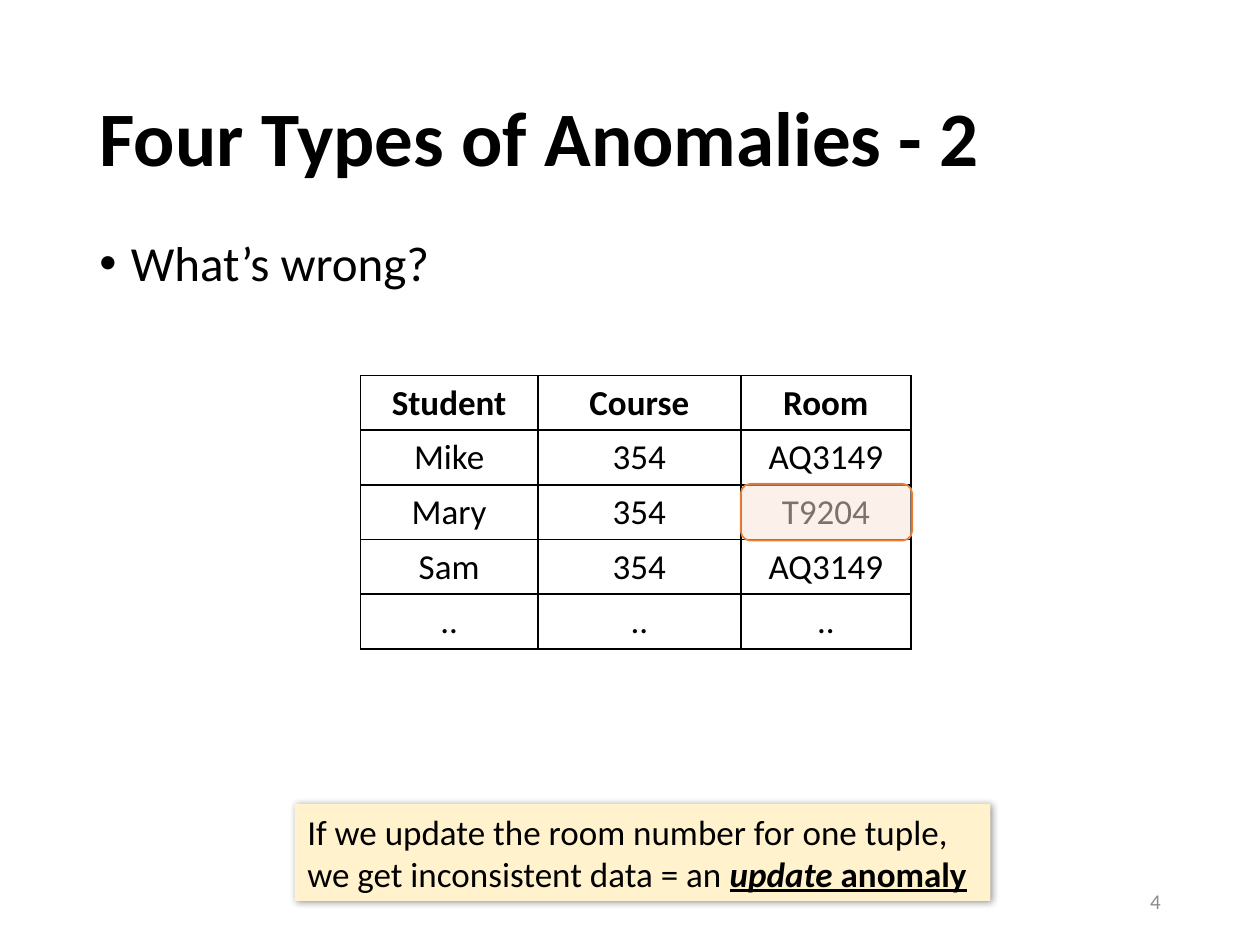
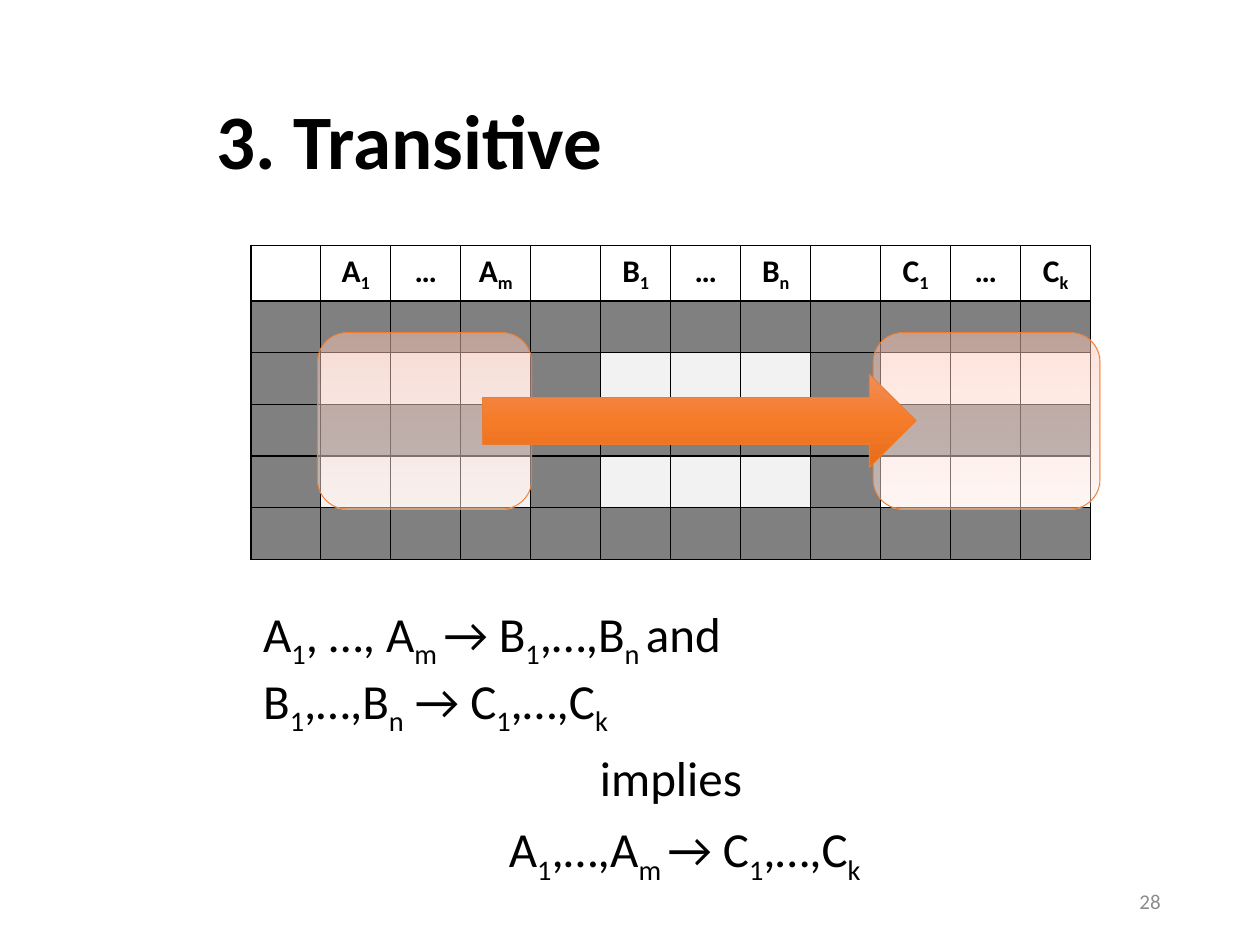
from lxml.etree import SubElement as Sub
from pptx import Presentation
from pptx.dml.color import RGBColor
from pptx.enum.shapes import MSO_SHAPE as Shape
from pptx.enum.text import MSO_ANCHOR as Anchor, MSO_AUTO_SIZE as Fit, PP_ALIGN as Align
from pptx.oxml.ns import qn
from pptx.util import Inches, Pt

FONT = "Calibri"
BLACK = RGBColor(0x00, 0x00, 0x00)
WHITE = RGBColor(0xFF, 0xFF, 0xFF)
GREY = RGBColor(0x80, 0x80, 0x80)
PALE = RGBColor(0xF2, 0xF2, 0xF2)
MUTED = RGBColor(0x8C, 0x8C, 0x8C)
CREAM = RGBColor(0xFF, 0xF2, 0xCC)
PEACH = RGBColor(0xFB, 0xE5, 0xD6)
ORANGE = RGBColor(0xED, 0x7D, 0x31)
BLUSH = [(0, RGBColor(0xFF, 0xC7, 0xB6)), (35, RGBColor(0xFF, 0xD7, 0xCB)),
         (100, RGBColor(0xFF, 0xF0, 0xEB))]
FLAME = [(0, RGBColor(0xF1, 0x8C, 0x57)), (50, RGBColor(0xF6, 0x7B, 0x28)),
         (100, RGBColor(0xE5, 0x6C, 0x19))]

ROOMS = [
    ["Student", "Course", "Room"],
    ["Mike", "354", "AQ3149"],
    ["Mary", "354", "T9204"],
    ["Sam", "354", "AQ3149"],
    ["..", "..", ".."],
]
HEADS = ["", "A{1}", "…", "A{m}", "", "B{1}", "…", "B{n}", "", "C{1}", "…", "C{k}"]


def box(*sides):
    return [Inches(side) for side in sides]


def style(run, size, color=BLACK, bold=False):
    font = run.font
    font.name, font.size, font.bold = FONT, Pt(size), bold
    font.color.rgb = color


def write(para, text, size, color=BLACK, bold=False, align=Align.LEFT):
    para.alignment = align
    for part in text.split("{"):
        low, mark, rest = part.partition("}")
        pieces = [(low, bool(mark)), (rest, False)]
        for words, under in pieces:
            if words:
                run = para.add_run()
                run.text = words
                style(run, size, color, bold)
                if under:
                    run.font._element.set("baseline", "-25000")


def title(slide, text, place):
    head = slide.shapes.title
    head.left, head.top, head.width, head.height = box(*place)
    frame = head.text_frame
    frame.text = text
    frame.auto_size = Fit.NONE
    frame.vertical_anchor = Anchor.MIDDLE
    para = frame.paragraphs[0]
    para.alignment = Align.LEFT
    para.line_spacing = 0.9
    style(para.runs[0], 44, bold=True)


def label(slide, place, lines, size, color=BLACK, align=Align.LEFT, anchor=Anchor.TOP):
    item = slide.shapes.add_textbox(*box(*place))
    frame = item.text_frame
    frame.word_wrap = True
    frame.vertical_anchor = anchor
    for i, line in enumerate(lines):
        para = frame.add_paragraph() if i else frame.paragraphs[0]
        write(para, line, size, color, align=align)
    return item


def bullet(slide, place, text):
    para = label(slide, place, [text], 28).text_frame.paragraphs[0]
    para.line_spacing = 0.9
    props = para._p.get_or_add_pPr()
    props.set("marL", str(Inches(0.25)))
    props.set("indent", str(-Inches(0.25)))
    Sub(props, qn("a:buFont"), typeface="Arial")
    Sub(props, qn("a:buChar"), char="•")


def number(slide, text):
    label(slide, (7.06, 6.95, 2.25, 0.4), [text], 12, MUTED, Align.RIGHT, Anchor.MIDDLE)


def edge(cell):
    props = cell._tc.get_or_add_tcPr()
    for side in "LRTB":
        line = Sub(props, qn(f"a:ln{side}"), w=str(Pt(1)))
        Sub(Sub(line, qn("a:solidFill")), qn("a:srgbClr"), val=str(BLACK))


def grid(slide, place, rows, cols, size, shade):
    frame = slide.shapes.add_table(len(rows), len(cols), *box(*place))
    table = frame.table
    table.first_row = table.horz_banding = False
    for col, width in zip(table.columns, cols):
        col.width = Inches(width)
    for i, texts in enumerate(rows):
        table.rows[i].height = Inches(0.41)
        for j, text in enumerate(texts):
            cell = table.cell(i, j)
            edge(cell)
            color = shade(i, j)
            if color is None:
                cell.fill.background()
            else:
                cell.fill.solid()
                cell.fill.fore_color.rgb = color
            para = cell.text_frame.paragraphs[0]
            write(para, text, size, bold=i == 0, align=Align.CENTER)


def tone(node, color, alpha):
    tint = Sub(node, qn("a:srgbClr"), val=str(color))
    Sub(tint, qn("a:alpha"), val=str(alpha * 1000))


def mark(slide, kind, place, stops, alpha, width):
    item = slide.shapes.add_shape(kind, *box(*place))
    item.shadow.inherit = False
    item.fill.solid()
    props = item._element.spPr
    paint = props.find(qn("a:solidFill"))
    if len(stops) == 1:
        paint.clear()
        tone(paint, stops[0][1], alpha)
    else:
        blend = props.makeelement(qn("a:gradFill"), {"rotWithShape": "1"})
        steps = Sub(blend, qn("a:gsLst"))
        for spot, color in stops:
            tone(Sub(steps, qn("a:gs"), pos=str(spot * 1000)), color, alpha)
        Sub(blend, qn("a:lin"), ang="5400000", scaled="0")
        props.replace(paint, blend)
    item.line.color.rgb = ORANGE
    item.line.width = Pt(width)


def note(slide, place, text, term, tail):
    item = label(slide, place, [text], 20)
    item.fill.solid()
    item.fill.fore_color.rgb = CREAM
    para = item.text_frame.paragraphs[0]
    for words, slant in [(term, True), (tail, False)]:
        run = para.add_run()
        run.text = words
        style(run, 20, bold=True)
        run.font.italic = slant
        run.font.underline = True
    glow = Sub(item._element.spPr, qn("a:effectLst"))
    cast = Sub(glow, qn("a:outerShdw"), blurRad=str(Pt(4)), dist=str(Pt(1)),
               dir="2700000", algn="tl", rotWithShape="0")
    tone(cast, BLACK, 40)


def band(row, col):
    if row == 0:
        return None
    if row % 2 or col % 4 == 0:
        return GREY
    return WHITE if col > 8 else PALE


def update(slide):
    title(slide, "Four Types of Anomalies - 2", (0.69, 0.4, 8.62, 1.45))
    bullet(slide, (0.69, 1.85, 8.62, 4.76), "What’s wrong?")
    number(slide, "4")
    grid(slide, (2.86, 2.98, 4.37, 2.05), ROOMS, [1.41, 1.61, 1.35], 20,
         lambda row, col: None)
    note(slide, (2.34, 6.38, 5.52, 0.77),
         "If we update the room number for one tuple, we get inconsistent data = an ",
         "update", " anomaly")
    mark(slide, Shape.ROUNDED_RECTANGLE, (5.88, 3.84, 1.36, 0.45), [(0, PEACH)], 50, 1)


def chain(slide):
    title(slide, "3. Transitive", (1.62, 0.68, 6.75, 0.94))
    count = len(HEADS)
    rows = [HEADS] + [[""] * count] * 5
    grid(slide, (1.99, 1.95, 6.67, 2.46), rows, [6.67 / count] * count, 18, band)
    label(slide, (1.99, 4.74, 6.67, 1.04),
          ["A{1}, …, A{m }→ B{1},…,B{n }and", "B{1},…,B{n} → C{1},…,C{k}"], 28)
    label(slide, (1.99, 5.88, 6.67, 0.57), ["implies"], 28, align=Align.CENTER)
    label(slide, (2.1, 6.45, 6.67, 0.57), ["A{1},…,A{m }→ C{1},…,C{k}"], 28,
          align=Align.CENTER)
    for left, width in [(2.52, 1.7), (6.93, 1.8)]:
        mark(slide, Shape.ROUNDED_RECTANGLE, (left, 2.64, width, 1.4), BLUSH, 50, 0.5)
    mark(slide, Shape.RIGHT_ARROW, (3.83, 2.97, 3.44, 0.74), FLAME, 100, 0.5)
    number(slide, "28")


def main():
    deck = Presentation()
    deck.slide_width, deck.slide_height = box(10, 7.5)
    for build in (update, chain):
        build(deck.slides.add_slide(deck.slide_layouts[5]))
    deck.save("out.pptx")


if __name__ == "__main__":
    main()
